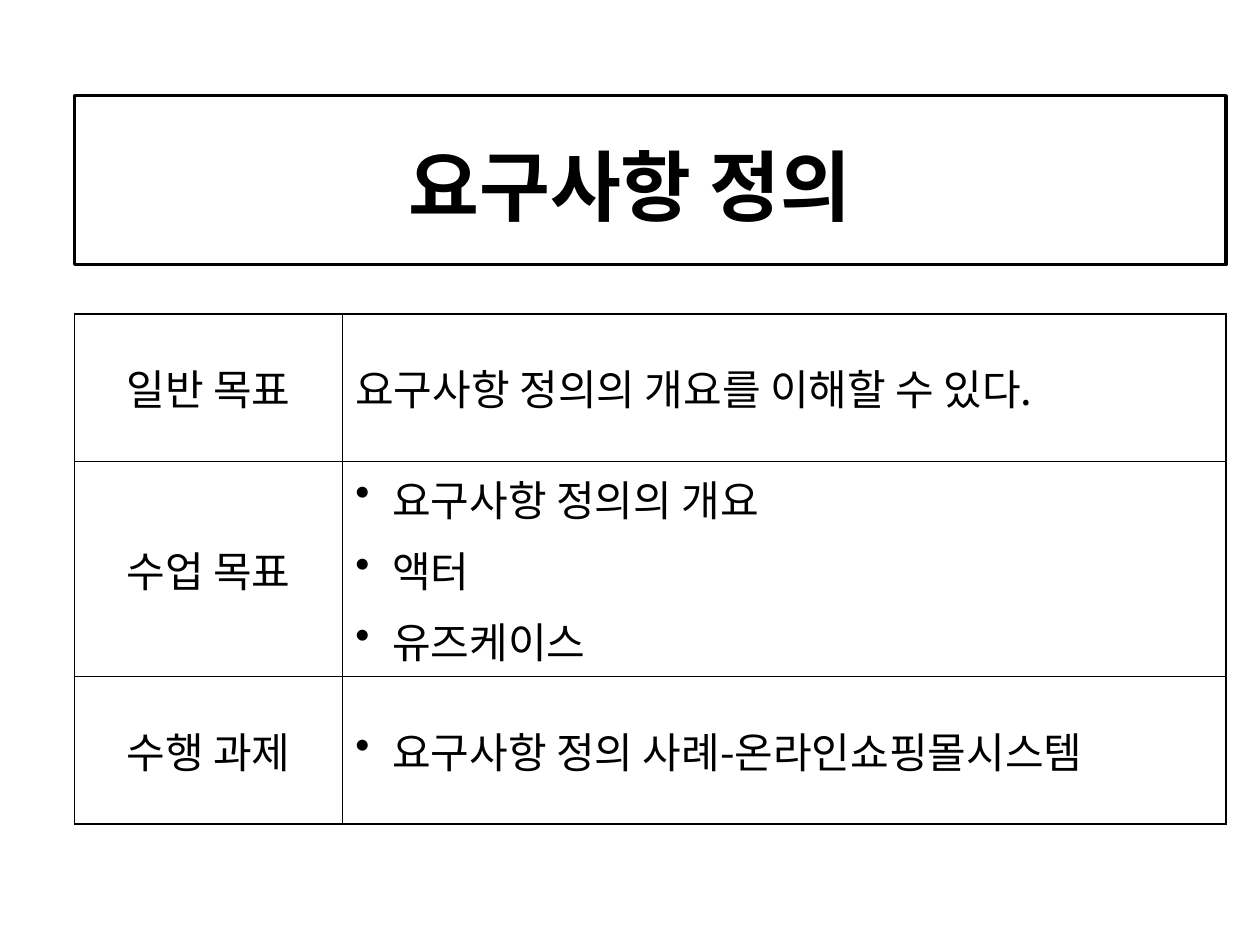
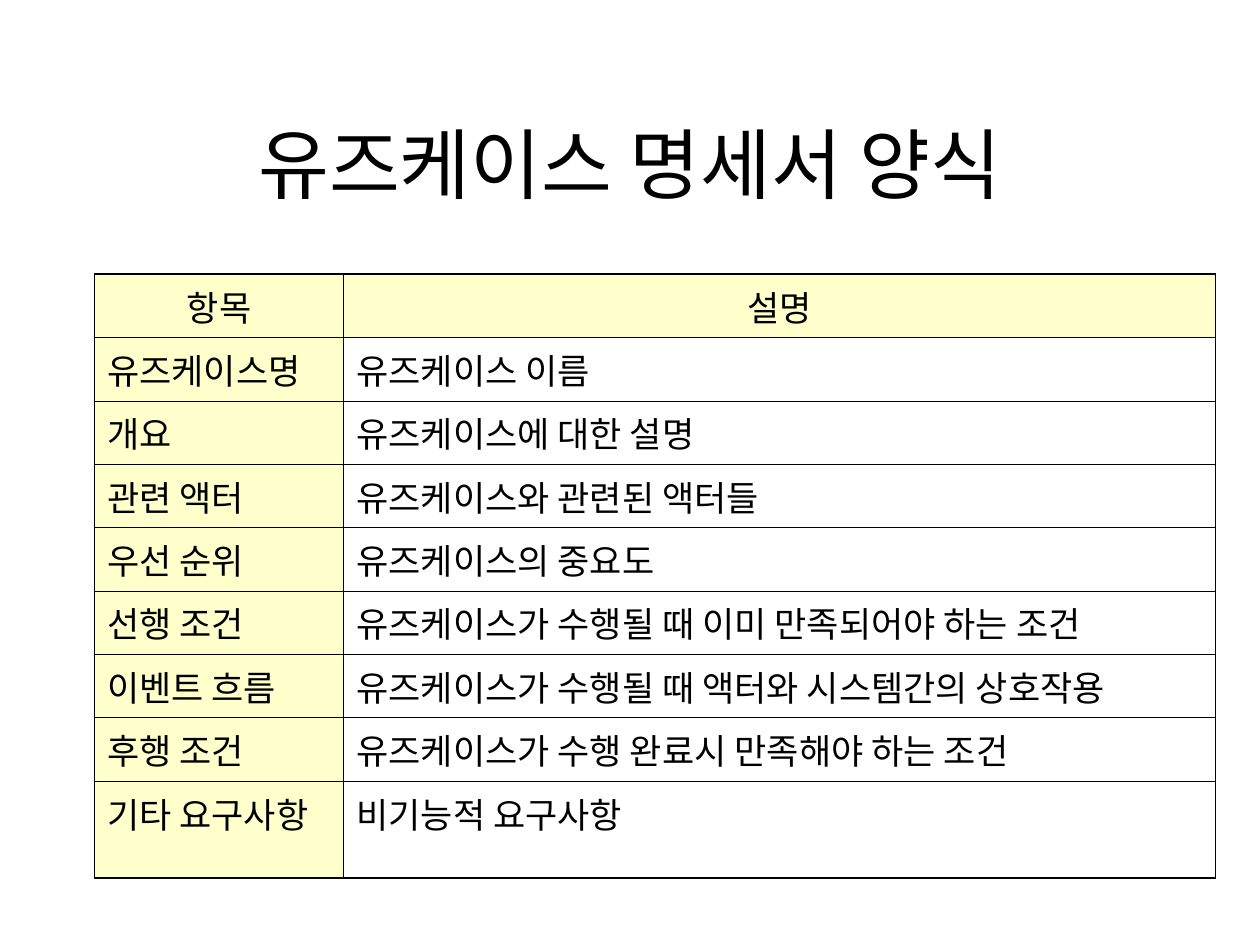
import pptx
import pptx.dml.color
import pptx.enum.shapes
import pptx.enum.text
import pptx.oxml
import pptx.oxml.ns
import pptx.util

Pt = pptx.util.Pt
ALIGN = pptx.enum.text.PP_ALIGN
ANCHOR = pptx.enum.text.MSO_ANCHOR
NAMESPACE = pptx.oxml.ns.nsdecls("a")

COLORS = {"ink": "000000", "label": "FFFFCC"}
FONT = "Noto Sans CJK KR"
OUTER_LINE = 1.08
INNER_LINE = 0.45
BULLET_INDENT = 21

GOALS = [
    ("일반 목표", ["요구사항 정의의 개요를 이해할 수 있다."]),
    ("수업 목표", ["요구사항 정의의 개요", "액터", "유즈케이스"]),
    ("수행 과제", ["요구사항 정의 사례-온라인쇼핑몰시스템"]),
]
BULLETED_GOALS = {"수업 목표", "수행 과제"}

SPECIFICATION = [
    ("항목", "설명"),
    ("유즈케이스명", "유즈케이스 이름"),
    ("개요", "유즈케이스에 대한 설명"),
    ("관련 액터", "유즈케이스와 관련된 액터들"),
    ("우선 순위", "유즈케이스의 중요도"),
    ("선행 조건", "유즈케이스가 수행될 때 이미 만족되어야 하는 조건"),
    ("이벤트 흐름", "유즈케이스가 수행될 때 액터와 시스템간의 상호작용"),
    ("후행 조건", "유즈케이스가 수행 완료시 만족해야 하는 조건"),
    ("기타 요구사항", "비기능적 요구사항"),
]


def color(name):
    return pptx.dml.color.RGBColor.from_string(COLORS[name])


def format_paragraph(paragraph, size, bold=False, align=ALIGN.LEFT, space_before=0):
    paragraph.alignment = align
    paragraph.space_before = Pt(space_before)
    for run in paragraph.runs:
        run.font.name = FONT
        run.font.size = Pt(size)
        run.font.bold = bold
        run.font.color.rgb = color("ink")
        run.font._element.append(
            pptx.oxml.parse_xml(f'<a:ea {NAMESPACE} typeface="{FONT}"/>'))


def add_bullet(paragraph):
    properties = paragraph._p.get_or_add_pPr()
    properties.set("marL", str(Pt(BULLET_INDENT)))
    properties.set("indent", str(-Pt(BULLET_INDENT)))
    properties.append(pptx.oxml.parse_xml(f'<a:buChar {NAMESPACE} char="•"/>'))


def add_title(slide, text, top, bold=False):
    shape = slide.shapes.add_textbox(Pt(54), Pt(top), Pt(612), Pt(90))
    text_frame = shape.text_frame
    text_frame.word_wrap = True
    text_frame.vertical_anchor = ANCHOR.MIDDLE
    text_frame.text = text
    format_paragraph(text_frame.paragraphs[0], 44, bold, ALIGN.CENTER)


def add_title_frame(slide):
    shape = slide.shapes.add_shape(
        pptx.enum.shapes.MSO_SHAPE.RECTANGLE, Pt(42.5), Pt(54.7), Pt(658), Pt(96.5))
    shape.shadow.inherit = False
    shape.fill.background()
    shape.line.color.rgb = color("ink")
    shape.line.width = Pt(2)


def set_borders(cell, on_outside):
    properties = cell._tc.get_or_add_tcPr()
    for side in "LRTB":
        width = Pt(OUTER_LINE if on_outside[side] else INNER_LINE)
        properties.append(pptx.oxml.parse_xml(
            f'<a:ln{side} {NAMESPACE} w="{width}"><a:solidFill>'
            f'<a:srgbClr val="{COLORS["ink"]}"/></a:solidFill></a:ln{side}>'))


def add_grid(slide, left, top, column_widths, row_heights):
    row_count, column_count = len(row_heights), len(column_widths)
    table = slide.shapes.add_table(
        row_count, column_count, Pt(left), Pt(top),
        Pt(sum(column_widths)), Pt(sum(row_heights))).table
    table.first_row = False
    table.horz_banding = False
    for column, width in zip(table.columns, column_widths):
        column.width = Pt(width)
    for row, height in zip(table.rows, row_heights):
        row.height = Pt(height)
    for row in range(row_count):
        for column in range(column_count):
            cell = table.cell(row, column)
            set_borders(cell, {
                "L": column == 0, "R": column == column_count - 1,
                "T": row == 0, "B": row == row_count - 1})
            cell.fill.background()
    return table


def fill_cell(cell, lines, size, space_before, align=ALIGN.LEFT,
              anchor=ANCHOR.TOP, bulleted=False):
    cell.vertical_anchor = anchor
    cell.text_frame.text = "\n".join(lines)
    for paragraph in cell.text_frame.paragraphs:
        format_paragraph(paragraph, size, align=align, space_before=space_before)
        if bulleted:
            add_bullet(paragraph)


def add_goal_table(slide):
    table = add_grid(slide, 42.5, 179.3, [153.4, 504.6], [84.2, 123.2, 84.2])
    for row, (label, lines) in enumerate(GOALS):
        fill_cell(table.cell(row, 0), [label], 24, 6, ALIGN.CENTER, ANCHOR.MIDDLE)
        fill_cell(table.cell(row, 1), lines, 24, 6, anchor=ANCHOR.MIDDLE,
                  bulleted=label in BULLETED_GOALS)


def add_specification_table(slide):
    item_count = len(SPECIFICATION) - 1
    table = add_grid(slide, 54, 156.7, [142.4, 498.2], [36.2] * item_count + [55.4])
    for row, texts in enumerate(SPECIFICATION):
        for column, text in enumerate(texts):
            cell = table.cell(row, column)
            fill_cell(cell, [text], 20, 5, ALIGN.CENTER if row == 0 else ALIGN.LEFT)
            if row == 0 or column == 0:
                cell.fill.solid()
                cell.fill.fore_color.rgb = color("label")


def main():
    presentation = pptx.Presentation()
    presentation.slide_width = Pt(720)
    presentation.slide_height = Pt(540)
    blank_layout = presentation.slide_layouts[6]

    goal_slide = presentation.slides.add_slide(blank_layout)
    add_title(goal_slide, "요구사항 정의", 60.5, bold=True)
    add_goal_table(goal_slide)
    add_title_frame(goal_slide)

    specification_slide = presentation.slides.add_slide(blank_layout)
    add_title(specification_slide, "유즈케이스 명세서 양식", 48.2)
    add_specification_table(specification_slide)

    presentation.save("out.pptx")


if __name__ == "__main__":
    main()
